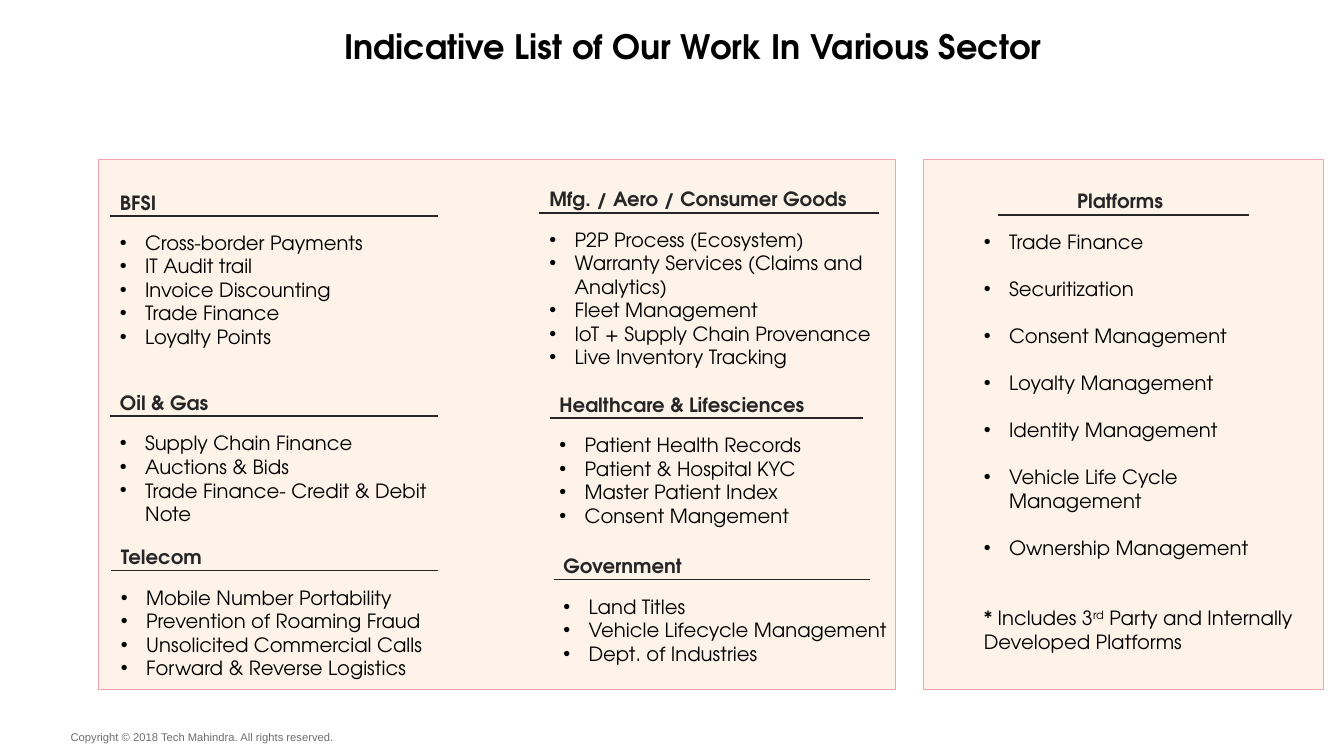
from dataclasses import dataclass

from lxml import etree
from pptx import Presentation, util as u
from pptx.dml.color import RGBColor
from pptx.enum import shapes, text
from pptx.oxml import ns


@dataclass(frozen=True)
class Theme:
    """Colours, fonts and type sizes of the slide."""
    font: str = "TeX Gyre Adventor"
    footer_font: str = "Arial"
    panel: str = "FDE9D2"
    panel_line: str = "F5A1AE"
    heading: str = "262626"
    body: str = "000000"
    footer: str = "6D6E71"
    title_size: float = 24
    body_size: float = 14
    footer_size: float = 8
    line_pitch: float = 16.8


T = Theme()
RULE_DROP, LIST_DROP, HEADING_HEIGHT = 0.3, 0.4, 0.34

SECTORS = [
    ((1.09, 1.84, 3.59, 1.68), 3.25, "BFSI",
     ["Cross-border Payments", "IT Audit trail", "Invoice Discounting", "Trade Finance", "Loyalty Points"]),
    ((5.35, 1.81, 3.72, 1.91), 3.37, "Mfg. / Aero / Consumer Goods",
     ["P2P Process (Ecosystem)", "Warranty Services (Claims and Analytics)", "Fleet Management",
      "IoT + Supply Chain Provenance", "Live Inventory Tracking"]),
    ((5.45, 3.85, 3.43, 1.44), 3.11, "Healthcare & Lifesciences",
     ["Patient Health Records", "Patient & Hospital KYC", "Master Patient Index", "Consent Mangement"]),
    ((1.09, 3.83, 3.59, 1.45), 3.25, "Oil & Gas",
     ["Supply Chain Finance", "Auctions & Bids", "Trade Finance- Credit & Debit Note"]),
    ((1.1, 5.36, 3.58, 1.68), 3.24, "Telecom",
     ["Mobile Number Portability", "Prevention of Roaming Fraud", "Unsolicited Commercial Calls",
      "Forward & Reverse Logistics"]),
    ((5.49, 5.45, 3.46, 1.44), 3.14, "Government",
     ["Land Titles", "Vehicle Lifecycle Management", "Dept. of Industries"]),
]
PLATFORMS = ["Trade Finance", "Securitization", "Consent Management", "Loyalty Management",
             "Identity Management", "Vehicle Life Cycle Management", "Ownership Management"]


def inches(*values):
    """Convert plain numbers to lengths."""
    return [u.Inches(v) for v in values]


def add_text_frame(s, box, wrap=True):
    """Add a text box and return its frame."""
    tf = s.shapes.add_textbox(*inches(*box)).text_frame
    tf.word_wrap = wrap
    tf.auto_size = text.MSO_AUTO_SIZE.SHAPE_TO_FIT_TEXT
    return tf


def add_run(p, words, size=T.body_size, color=T.body, bold=False, font=T.font):
    """Add one styled run to a paragraph."""
    r = p.add_run()
    r.text = words
    r.font.name, r.font.size, r.font.bold = font, u.Pt(size), bold
    r.font.color.rgb = RGBColor.from_string(color)
    return r


def add_bullets(tf, items, gap=0):
    """Fill a frame with bulleted items separated by a gap in points."""
    for i, item in enumerate(items):
        p = tf.add_paragraph() if i else tf.paragraphs[0]
        pPr = p._p.get_or_add_pPr()
        pPr.set("marL", str(u.Inches(0.25)))
        pPr.set("indent", str(u.Inches(-0.25)))
        etree.SubElement(pPr, ns.qn("a:buFont")).set("typeface", "Arial")
        etree.SubElement(pPr, ns.qn("a:buChar")).set("char", "•")
        if i and gap:
            p.space_before = u.Pt(gap)
        add_run(p, item)


def add_rule(s, x, y, width):
    """Draw a horizontal heading rule."""
    c = s.shapes.add_connector(shapes.MSO_CONNECTOR.STRAIGHT, *inches(x, y, x + width, y))
    c.line.color.rgb = RGBColor.from_string(T.heading)
    c.line.width = u.Pt(1.25)
    etree.SubElement(c._element.spPr, ns.qn("a:effectLst"))


def add_panel(s, box):
    """Draw a half-transparent background panel."""
    sp = s.shapes.add_shape(shapes.MSO_SHAPE.RECTANGLE, *inches(*box))
    sp.shadow.inherit = False
    sp.fill.solid()
    sp.fill.fore_color.rgb = RGBColor.from_string(T.panel)
    color = sp._element.spPr.find(".//" + ns.qn("a:srgbClr"))
    etree.SubElement(color, ns.qn("a:alpha")).set("val", "50000")
    sp.line.color.rgb = RGBColor.from_string(T.panel_line)
    sp.line.width = u.Pt(0.75)


def add_heading(s, box, words, align=text.PP_ALIGN.LEFT):
    """Add a bold section heading."""
    p = add_text_frame(s, box).paragraphs[0]
    p.alignment = align
    add_run(p, words, color=T.heading, bold=True)


def add_sector(s, box, rule_width, heading, items):
    """Place a sector heading, its rule and its list in a box."""
    x, y, w, h = box
    add_heading(s, (x, y, w, HEADING_HEIGHT), heading)
    add_rule(s, x, y + RULE_DROP, rule_width)
    add_bullets(add_text_frame(s, (x, y + LIST_DROP, w, h - LIST_DROP)), items)


def add_platforms(s, box):
    """Place the platforms panel with its list and note in a box."""
    x, y, w, h = box
    add_panel(s, box)
    add_heading(s, (x + 0.13, y + 0.25, w - 0.33, HEADING_HEIGHT), "Platforms", text.PP_ALIGN.CENTER)
    add_rule(s, x + 0.74, y + 0.25 + RULE_DROP, 2.49)
    tf = add_text_frame(s, (x + 0.5, y + 0.25 + LIST_DROP, w - 0.7, h - 0.92))
    add_bullets(tf, PLATFORMS, T.line_pitch)
    p = tf.add_paragraph()
    p.space_before = u.Pt(2 * T.line_pitch)
    add_run(p, "* Includes 3")
    add_run(p, "rd")._r.get_or_add_rPr().set("baseline", "30000")
    add_run(p, " Party and Internally Developed Platforms")


def add_title(s, box):
    """Place the centred slide title."""
    p = add_text_frame(s, box, wrap=False).paragraphs[0]
    p.alignment = text.PP_ALIGN.CENTER
    add_run(p, "Indicative List of Our Work In Various Sector", T.title_size, bold=True)


def add_footer(s, box):
    """Place the copyright line."""
    tf = add_text_frame(s, box, wrap=False)
    tf.margin_left = tf.margin_right = tf.margin_top = tf.margin_bottom = 0
    add_run(tf.paragraphs[0], "Copyright © 2018 Tech Mahindra. All rights reserved.",
            T.footer_size, T.footer, font=T.footer_font)


def main():
    """Build and save the slide."""
    prs = Presentation()
    prs.slide_width, prs.slide_height = inches(13.33, 7.5)
    s = prs.slides.add_slide(prs.slide_layouts[6])
    add_footer(s, (0.7, 7.25, 2.66, 0.13))
    add_panel(s, (0.98, 1.58, 7.9, 5.26))
    for sector in SECTORS:
        add_sector(s, *sector)
    add_platforms(s, (9.16, 1.58, 3.97, 5.26))
    add_title(s, (3.26, 0.21, 7.22, 0.5))
    prs.save("out.pptx")


if __name__ == "__main__":
    main()
